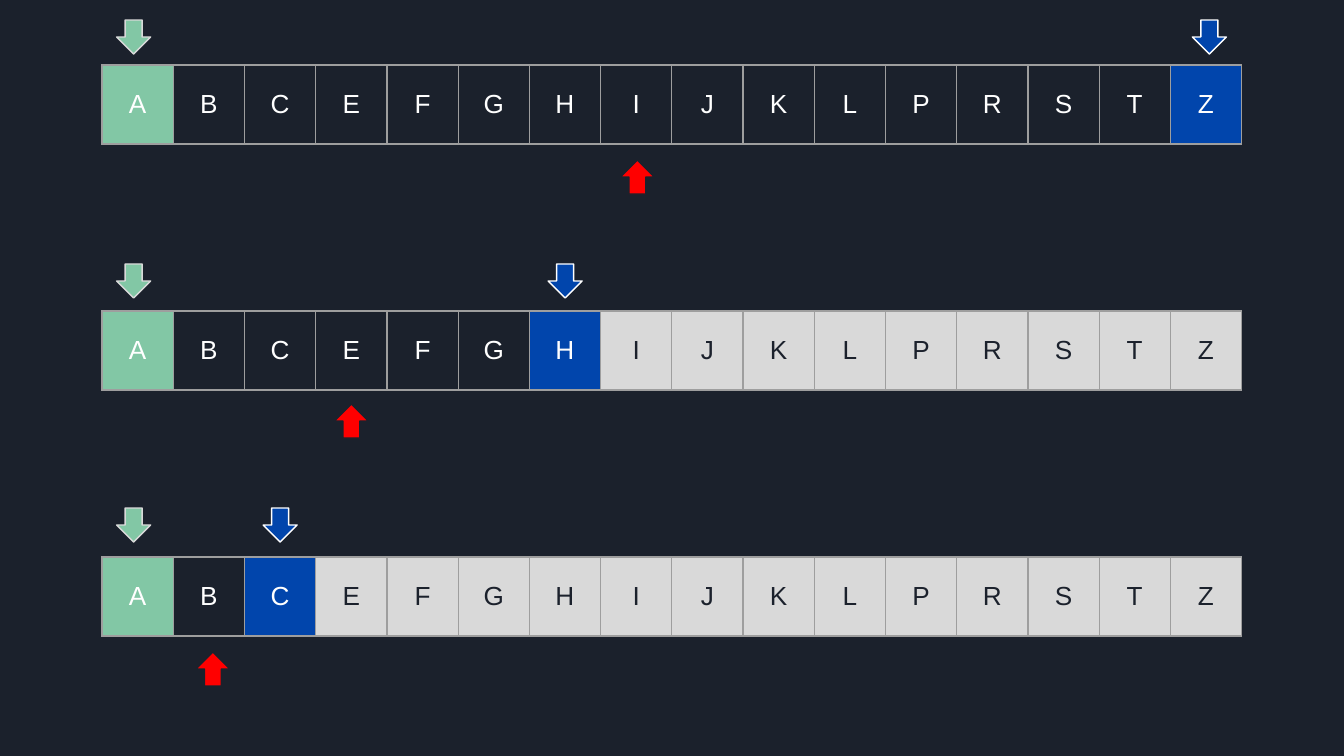
import dataclasses

import lxml.etree
import pptx
import pptx.dml.color
import pptx.enum.shapes
import pptx.enum.text
import pptx.oxml.ns
import pptx.util

PX = 9144000 / 1344
LETTERS = "ABCEFGHIJKLPRSTZ"
ARROW_SIZE = 34
ROW_HEIGHT = 79


@dataclasses.dataclass(frozen=True)
class Theme:
    """Colours and type sizes of the slide."""
    background: str = "1B212C"
    text: str = "FFFFFF"
    low: str = "82C7A5"
    high: str = "0145AC"
    probe: str = "FF0000"
    discarded: str = "D9D9D9"
    border: str = "9E9E9E"
    font: str = "Arial"
    letter_size: float = 14
    line_width: float = 0.75


@dataclasses.dataclass(frozen=True)
class Step:
    """Indices of one search step, with arrow nudges and offsets in px."""
    top: int
    high: int
    probe: int
    high_nudge: int
    probe_nudge: int
    row_offset: int
    probe_offset: int


THEME = Theme()
STEPS = (
    Step(20, 15, 7, 3, 1, 45, 140),
    Step(264, 6, 3, 0, 0, 47, 140),
    Step(508, 2, 1, 0, 4, 49, 144),
)


def emu(pixels):
    """Convert px to EMU."""
    return pptx.util.Emu(round(pixels * PX))


def rgb(value):
    """Convert a hex string to a colour."""
    return pptx.dml.color.RGBColor.from_string(value)


def apply_format(target, values):
    """Set each attribute named in values on the target."""
    for name, value in values.items():
        setattr(target, name, value)


def add_borders(cell):
    """Draw a solid line on all four sides of a cell."""
    properties = cell._tc.get_or_add_tcPr()
    for side in ("a:lnL", "a:lnR", "a:lnT", "a:lnB"):
        line = lxml.etree.SubElement(properties, pptx.oxml.ns.qn(side))
        line.set("w", str(pptx.util.Pt(THEME.line_width)))
        fill = lxml.etree.SubElement(line, pptx.oxml.ns.qn("a:solidFill"))
        colour = lxml.etree.SubElement(fill, pptx.oxml.ns.qn("a:srgbClr"))
        colour.set("val", THEME.border)


def fill_cell(cell, letter, fill_colour, text_colour):
    """Write one letter into a cell and format it."""
    inset = pptx.util.Inches(0.1)
    apply_format(cell, {
        "text": letter,
        "vertical_anchor": pptx.enum.text.MSO_ANCHOR.MIDDLE,
        "margin_left": inset,
        "margin_right": inset,
        "margin_top": inset,
        "margin_bottom": inset,
    })
    add_borders(cell)
    if fill_colour:
        cell.fill.solid()
        cell.fill.fore_color.rgb = rgb(fill_colour)
    else:
        cell.fill.background()
    paragraph = cell.text_frame.paragraphs[0]
    paragraph.alignment = pptx.enum.text.PP_ALIGN.CENTER
    font = paragraph.runs[0].font
    apply_format(font, {
        "name": THEME.font,
        "size": pptx.util.Pt(THEME.letter_size),
    })
    font.color.rgb = rgb(text_colour)


def add_letter_row(slide, left, top, width, height, high):
    """Place the letter table, shading the bounds and the discarded part."""
    frame = slide.shapes.add_table(
        1, len(LETTERS), emu(left), emu(top), emu(width), emu(height))
    table = frame.table
    apply_format(table, {"first_row": False, "horz_banding": False})
    special_fills = {0: THEME.low, high: THEME.high}
    for index, letter in enumerate(LETTERS):
        table.columns[index].width = emu(width / len(LETTERS))
        discarded = index > high
        fill_colour = THEME.discarded if discarded else special_fills.get(index)
        text_colour = THEME.background if discarded else THEME.text
        fill_cell(table.cell(0, index), letter, fill_colour, text_colour)


def add_arrow(slide, kind, center, top, fill_colour, line_colour):
    """Place a block arrow centred on a horizontal position."""
    shape = slide.shapes.add_shape(
        kind, emu(center - ARROW_SIZE / 2), emu(top),
        emu(ARROW_SIZE), emu(ARROW_SIZE))
    shape.shadow.inherit = False
    shape.fill.solid()
    shape.fill.fore_color.rgb = rgb(fill_colour)
    shape.line.color.rgb = rgb(line_colour)
    shape.line.width = pptx.util.Pt(THEME.line_width)


def add_search_step(slide, left, top, width, step):
    """Place the letter row of one step with its three arrows."""
    add_letter_row(
        slide, left, top + step.row_offset, width, ROW_HEIGHT, step.high)
    kinds = pptx.enum.shapes.MSO_SHAPE
    arrows = (
        (kinds.UP_ARROW, step.probe, step.probe_nudge, step.probe_offset,
         THEME.probe, THEME.background),
        (kinds.DOWN_ARROW, 0, -4, 0, THEME.low, THEME.discarded),
        (kinds.DOWN_ARROW, step.high, step.high_nudge, 0,
         THEME.high, THEME.text),
    )
    for kind, index, nudge, offset, fill_colour, line_colour in arrows:
        center = left + (index + 0.5) * width / len(LETTERS) + nudge
        add_arrow(slide, kind, center, top + offset, fill_colour, line_colour)


def main():
    """Build the binary search slide and save it."""
    presentation = pptx.Presentation()
    apply_format(presentation, {
        "slide_width": emu(1344), "slide_height": emu(756)})
    slide = presentation.slides.add_slide(presentation.slide_layouts[6])
    slide.background.fill.solid()
    slide.background.fill.fore_color.rgb = rgb(THEME.background)
    for step in STEPS:
        add_search_step(slide, 102, step.top, 1140, step)
    presentation.save("out.pptx")


if __name__ == "__main__":
    main()
